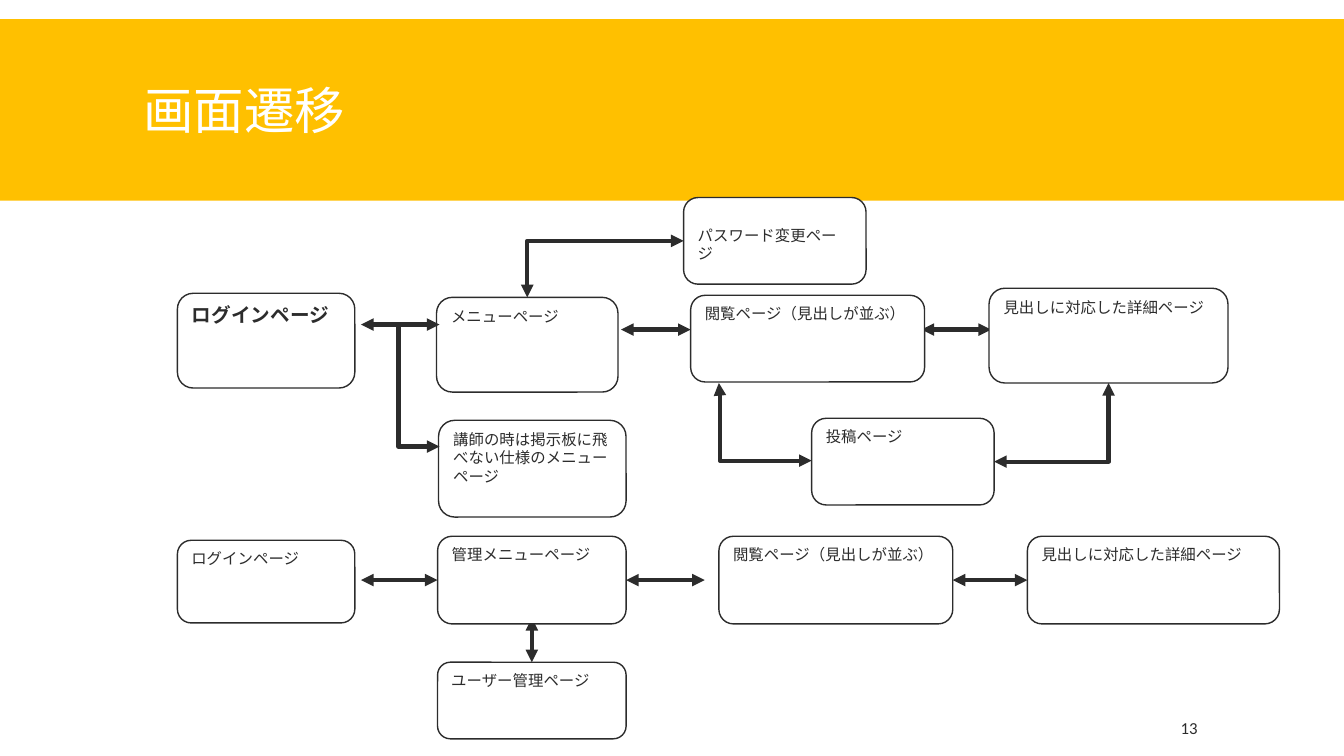
from dataclasses import dataclass

from lxml.etree import SubElement
from pptx import Presentation
from pptx.dml.color import RGBColor
from pptx.enum.shapes import MSO_CONNECTOR as Link, MSO_SHAPE as Shape
from pptx.enum.text import MSO_ANCHOR as Anchor, PP_ALIGN as Align
from pptx.oxml.ns import qn
from pptx.util import Inches, Pt

TOP, LEFT, BOTTOM, RIGHT = range(4)


@dataclass(frozen=True)
class Theme:
    paper: str = "FFFFFF"
    band: str = "FFC000"
    ink: str = "2C2C2C"
    font: str = "Calibri"
    strong_font: str = "Arial"
    title_size: int = 36
    strong_size: int = 14
    number_size: int = 12
    label_size: int = 11
    outline: float = 1
    arrow: float = 3


def cells(count):
    """Length of a number of grid columns or rows, ten to the inch."""
    return Inches(count / 10)


def write(shape, text, *, size, color, font, bold=False, anchor=Anchor.TOP,
          spacing=None, insets=(1, 0.5, 1, 0.5)):
    frame = shape.text_frame
    frame.word_wrap = True
    frame.vertical_anchor = anchor
    (frame.margin_left, frame.margin_top,
     frame.margin_right, frame.margin_bottom) = map(cells, insets)
    para = frame.paragraphs[0]
    para.alignment = Align.LEFT
    para.line_spacing = spacing
    span = para.add_run()
    span.text = text
    span.font.size = Pt(size)
    span.font.bold = bold
    span.font.name = font
    span.font.color.rgb = RGBColor.from_string(color)
    # East Asian glyphs use the same typeface
    SubElement(span.font._element, qn("a:ea")).set("typeface", font)


class FlowPage:
    def __init__(self, deck, theme):
        self.theme = theme
        self.page = deck.slides.add_slide(deck.slide_layouts[5])
        self.tree = self.page.shapes._spTree
        self.boxes = {}
        self.paint(self.page.background, theme.paper)

    def paint(self, target, color):
        target.fill.solid()
        target.fill.fore_color.rgb = RGBColor.from_string(color)

    def shape(self, kind, area, color):
        shape = self.page.shapes.add_shape(kind, *map(cells, area))
        shape.shadow.inherit = False
        self.paint(shape, color)
        return shape

    def band(self, area):
        band = self.shape(Shape.RECTANGLE, area, self.theme.band)
        band.line.fill.background()
        self.tree.insert(2, band._element)

    def title(self, text, area):
        title = self.page.shapes.title
        title.left, title.top, title.width, title.height = map(cells, area)
        write(title, text, size=self.theme.title_size, color=self.theme.paper,
              font=self.theme.font, anchor=Anchor.MIDDLE, spacing=0.85)

    def number(self, text, area):
        box = self.page.shapes.add_textbox(*map(cells, area))
        write(box, text, size=self.theme.number_size, color=self.theme.ink,
              font=self.theme.font, anchor=Anchor.MIDDLE,
              insets=(0.5, 0.5, 1, 0.5))

    def box(self, name, text, area, strong=False, inset_top=0.5):
        theme = self.theme
        box = self.shape(Shape.ROUNDED_RECTANGLE, area, theme.paper)
        box.line.color.rgb = RGBColor.from_string(theme.ink)
        box.line.width = Pt(theme.outline)
        write(box, text, color=theme.ink, bold=strong,
              size=theme.strong_size if strong else theme.label_size,
              font=theme.strong_font if strong else theme.font,
              insets=(1, inset_top, 1, 0.5))
        self.boxes[name] = box

    def arrow(self, start, end, kind=Link.STRAIGHT, preset=None, bend=None,
              heads=("headEnd", "tailEnd"), behind=False):
        """Each end is a grid point, or a box name with a side."""
        points = [(0, 0) if isinstance(spot[0], str) else spot
                  for spot in (start, end)]
        arrow = self.page.shapes.add_connector(
            kind, *(cells(value) for point in points for value in point))
        for spot, join in ((start, arrow.begin_connect),
                           (end, arrow.end_connect)):
            if isinstance(spot[0], str):
                join(self.boxes[spot[0]], spot[1])
        arrow.line.color.rgb = RGBColor.from_string(self.theme.ink)
        arrow.line.width = Pt(self.theme.arrow)
        properties = arrow._element.spPr
        for head in heads:
            SubElement(properties.find(qn("a:ln")),
                       qn("a:" + head)).set("type", "triangle")
        SubElement(properties, qn("a:effectLst"))
        geometry = properties.find(qn("a:prstGeom"))
        if preset:
            geometry.set("prst", preset)
        if bend is not None:
            guide = SubElement(geometry.find(qn("a:avLst")), qn("a:gd"))
            guide.set("name", "adj1")
            guide.set("fmla", f"val {bend}")
        if behind:
            self.tree.insert(3, arrow._element)


def main():
    deck = Presentation()
    deck.slide_width, deck.slide_height = Inches(13.33), Inches(7.5)
    flow = FlowPage(deck, Theme())

    # Heading
    flow.band((0, 1.9, 133.3, 18))
    flow.title("画面遷移", (13.2, 3.1, 107, 16.5))

    # User screens
    flow.box("login", "ログインページ", (17.6, 29.1, 17.6, 9.4), strong=True)
    flow.box("teacher", "講師の時は掲示板に飛べない仕様のメニューページ",
             (43.5, 41.7, 18.6, 9.6))
    flow.box("reader", "閲覧ページ（見出しが並ぶ）", (68.5, 29.3, 23.2, 8.6))
    flow.box("menu", "メニューページ", (43.3, 29.5, 18, 9.4))
    flow.box("detail", "見出しに対応した詳細ページ", (98.1, 28.6, 23.7, 9.4))
    flow.box("post", "投稿ページ", (80.5, 41.5, 18.1, 8.6))
    flow.box("password", "パスワード変更ページ", (67.8, 19.6, 18.1, 8.6),
             inset_top=2.4)

    # Administrator screens
    flow.box("admin login", "ログインページ", (17.6, 53.6, 17.6, 8.2))
    flow.box("admin reader", "閲覧ページ（見出しが並ぶ）", (71.3, 53.2, 23.2, 8.7))
    flow.box("admin detail", "見出しに対応した詳細ページ", (101.9, 53.2, 25, 8.7))
    flow.box("admin menu", "管理メニューページ", (43.4, 53.2, 18.7, 8.7))
    flow.box("users", "ユーザー管理ページ", (43.4, 65.7, 18.7, 7.6))

    # Straight transitions
    flow.arrow((35.8, 32.2), (43.6, 32.2))
    flow.arrow((61.6, 32.7), (68.5, 32.7))
    flow.arrow((91.4, 32.7), (98.3, 32.7), behind=True)
    flow.arrow((35.8, 57.55), ("admin menu", LEFT))
    flow.arrow(("admin menu", RIGHT), (69.9, 57.55))
    flow.arrow(("admin reader", RIGHT), ("admin detail", LEFT))
    flow.arrow((52.75, 61.3), ("users", TOP), behind=True)

    # Bent transitions
    corner = dict(kind=Link.ELBOW, preset="bentConnector2")
    flow.arrow(("password", LEFT), ("menu", TOP), **corner)
    flow.arrow(("post", RIGHT), ("detail", BOTTOM), **corner)
    flow.arrow((71.3, 38), (80.5, 45.7), kind=Link.ELBOW, bend=1100)
    flow.arrow((39.5, 32.4), (43.6, 44.3), kind=Link.ELBOW, bend=400,
               heads=("tailEnd",))

    # Page number
    flow.number("13", (116.6, 70.2, 10.3, 4))

    deck.save("out.pptx")


if __name__ == "__main__":
    main()
